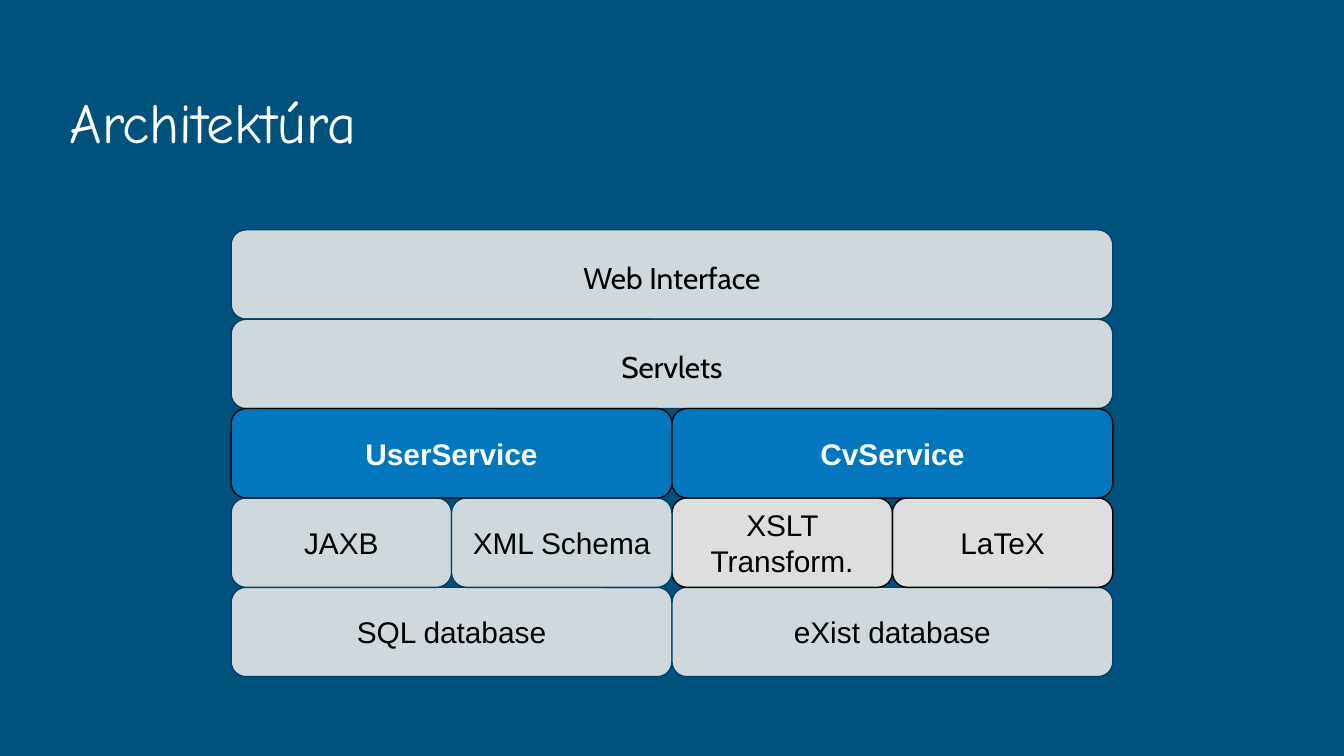
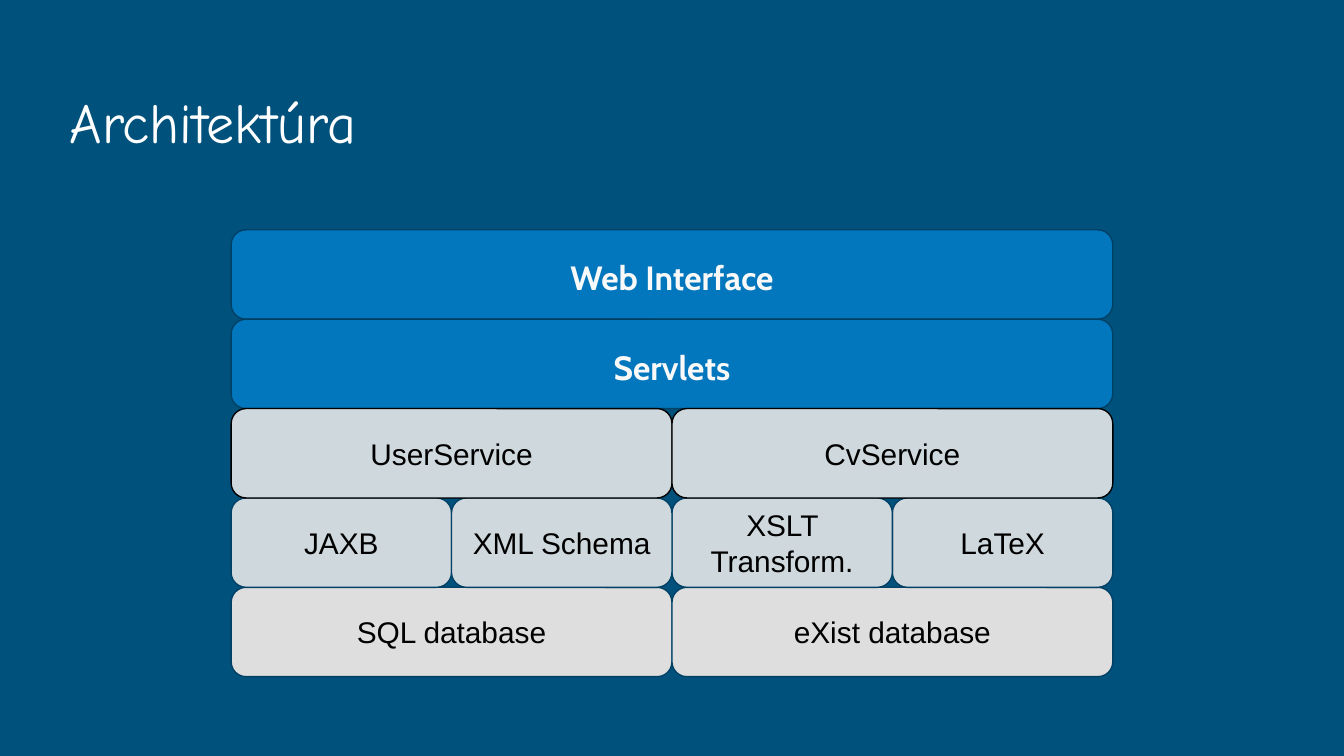
from dataclasses import dataclass

from pptx import Presentation
from pptx.dml.color import RGBColor
from pptx.enum.shapes import MSO_SHAPE
from pptx.enum.text import MSO_ANCHOR, PP_ALIGN
from pptx.util import Pt

ROUNDED = MSO_SHAPE.ROUNDED_RECTANGLE
ALTERNATE = MSO_SHAPE.FLOWCHART_ALTERNATE_PROCESS
LEFT, CENTER = PP_ALIGN.LEFT, PP_ALIGN.CENTER
MIDDLE, BOTTOM = MSO_ANCHOR.MIDDLE, MSO_ANCHOR.BOTTOM


@dataclass(frozen=True)
class Theme:
    background: str = "00517C"
    title: str = "FFFFFF"
    pale: str = "CFD8DC"
    gray: str = "DEDEDE"
    accent: str = "0277BD"
    navy: str = "004065"
    black: str = "000000"
    bright: str = "F9F9F9"
    title_font: str = "Comic Neue"
    front_font: str = "Cabin"
    body_font: str = "Arial"
    title_size: int = 30
    accent_size: int = 18
    body_size: int = 16


theme = Theme()
EMU_PER_PX = 4572  # 200 px to the inch


def px(*lengths):
    return [length * EMU_PER_PX for length in lengths]


def write_text(shape, text, *, font, size, color, bold=False,
               align=CENTER, anchor=MIDDLE, spacing=1.0):
    frame = shape.text_frame
    frame.word_wrap = True
    frame.vertical_anchor = anchor
    (frame.margin_left, frame.margin_top,
     frame.margin_right, frame.margin_bottom) = px(20, 20, 20, 20)
    paragraph = frame.paragraphs[0]
    paragraph.alignment = align
    paragraph.line_spacing = spacing
    run = paragraph.add_run()
    run.text = text
    run.font.name = font
    run.font.size = Pt(size)
    run.font.bold = bold
    run.font.color.rgb = RGBColor.from_string(color)


# Stack of blocks: four columns, five rows
STACK_LEFT, STACK_TOP = 344, 342
COLUMN, ROW = 328, 133

# Text, layer, row, first column, columns spanned; back to front
blocks = [
    ("Web Interface", "front", 0, 0, 4),
    ("Servlets", "front", 1, 0, 4),
    ("SQL database", "databases", 4, 0, 2),
    ("eXist database", "databases", 4, 2, 2),
    ("LaTeX", "cv tools", 3, 3, 1),
    ("XSLT Transform.", "cv tools", 3, 2, 1),
    ("JAXB", "user tools", 3, 0, 1),
    ("XML Schema", "user tools", 3, 1, 1),
    ("UserService", "services", 2, 0, 2),
    ("CvService", "services", 2, 2, 2),
]

# Per slide: layers that are not pale, and layers outlined in black
stages = [
    ({"services": theme.accent, "cv tools": theme.gray}, {"services", "cv tools"}),
    ({"front": theme.accent, "databases": theme.gray}, {"services"}),
]

presentation = Presentation()
presentation.slide_width, presentation.slide_height = px(2000, 1125)

for layer_fills, black_outlined in stages:
    slide = presentation.slides.add_slide(presentation.slide_layouts[6])
    slide.background.fill.solid()
    slide.background.fill.fore_color.rgb = RGBColor.from_string(theme.background)

    # Title
    title = slide.shapes.add_textbox(*px(84, 100, 1830, 150))
    write_text(title, "Architektúra", font=theme.title_font, size=theme.title_size,
               color=theme.title, align=LEFT, anchor=BOTTOM)

    # Architecture blocks
    for text, layer, row, column, span in blocks:
        fill = layer_fills.get(layer, theme.pale)
        outline = theme.black if layer in black_outlined else theme.navy
        is_accent = fill == theme.accent
        is_front = layer == "front"
        block = slide.shapes.add_shape(
            ALTERNATE if row == 0 else ROUNDED,
            *px(STACK_LEFT + column * COLUMN, STACK_TOP + row * ROW, span * COLUMN, ROW))
        block.shadow.inherit = False
        block.fill.solid()
        block.fill.fore_color.rgb = RGBColor.from_string(fill)
        block.line.color.rgb = RGBColor.from_string(outline)
        block.line.width = Pt(0.75)
        write_text(block, text,
                   font=theme.front_font if is_front else theme.body_font,
                   size=theme.accent_size if is_front and is_accent else theme.body_size,
                   color=theme.bright if is_accent else theme.black,
                   bold=is_accent, spacing=1.15 if is_front else 1.0)

presentation.save("out.pptx")
